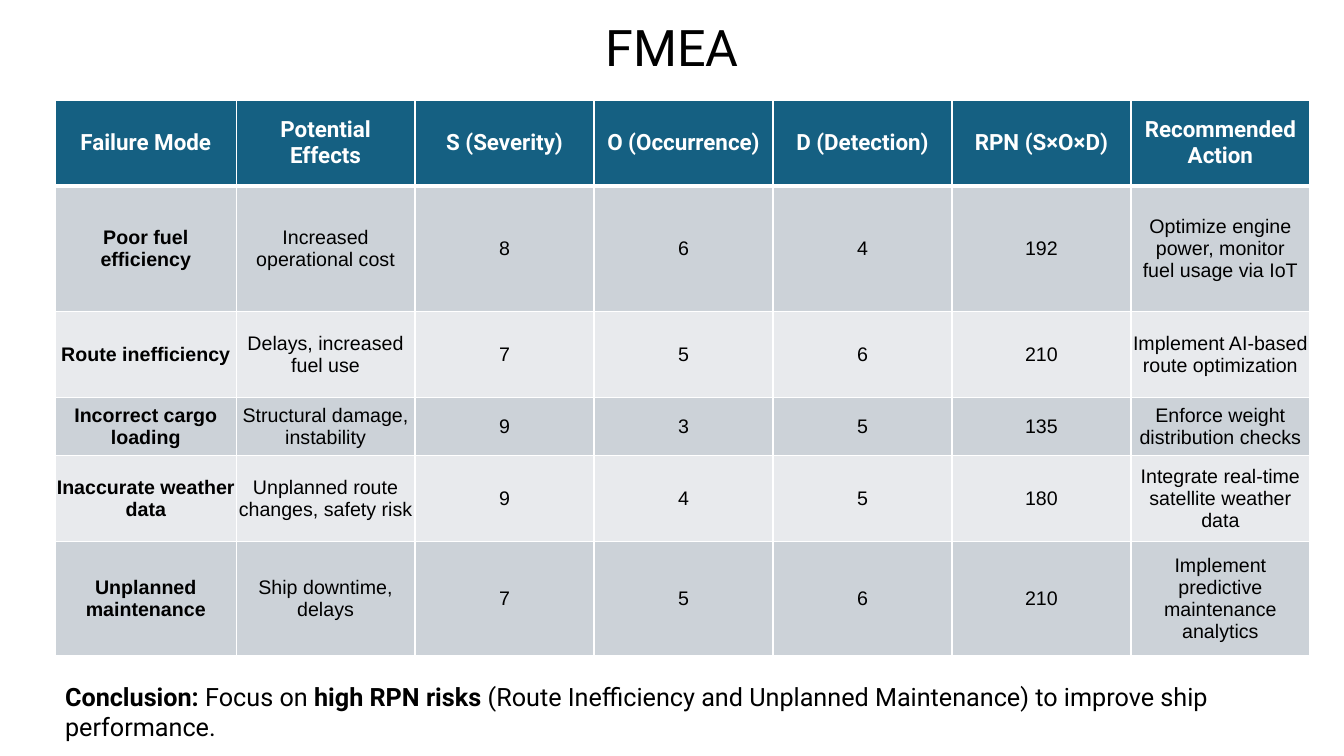
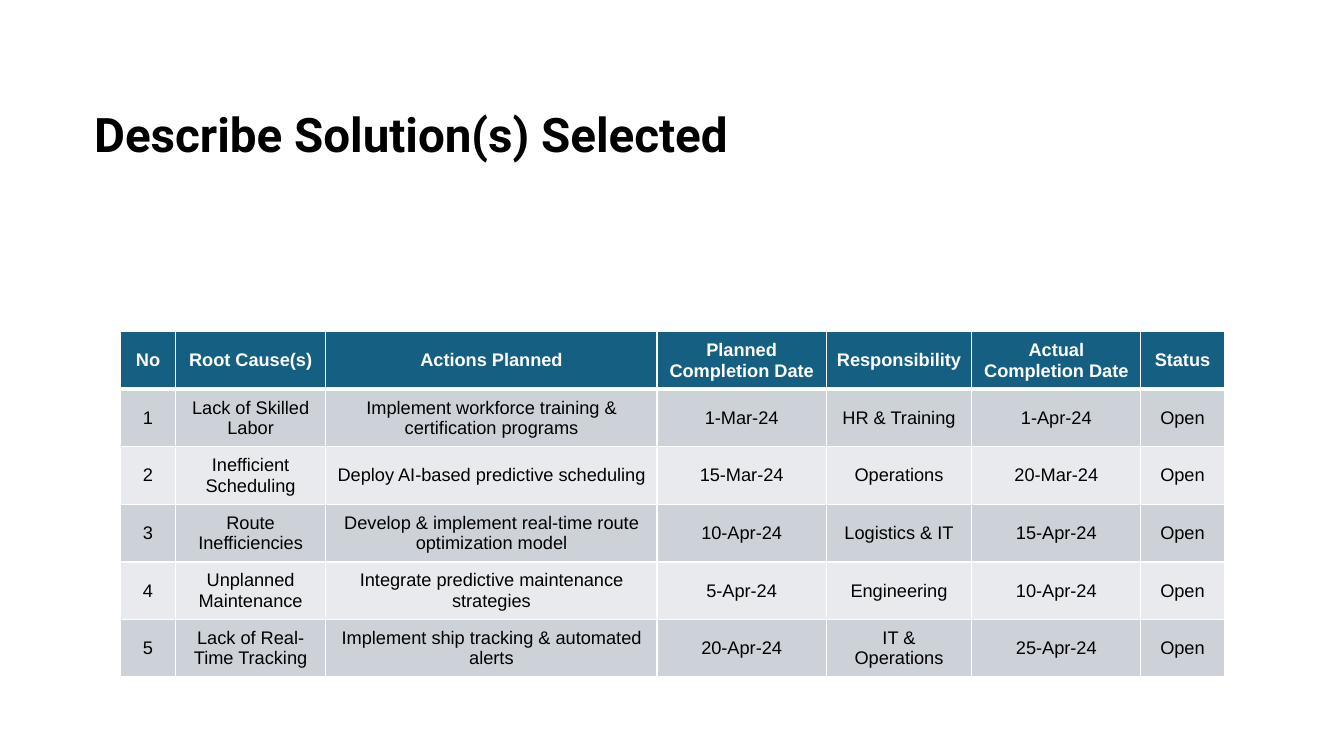
"""Builds the risk table and action plan slides of a ship performance project."""
from lxml import etree
from pptx import Presentation
from pptx.dml.color import RGBColor
from pptx.enum.shapes import MSO_SHAPE
from pptx.enum.text import MSO_ANCHOR, MSO_AUTO_SIZE, PP_ALIGN
from pptx.oxml.ns import qn
from pptx.util import Cm, Pt

RECTANGLE = MSO_SHAPE.RECTANGLE
MIDDLE = MSO_ANCHOR.MIDDLE
NO_FIT, GROW = MSO_AUTO_SIZE.NONE, MSO_AUTO_SIZE.SHAPE_TO_FIT_TEXT
LEFT, CENTER = PP_ALIGN.LEFT, PP_ALIGN.CENTER

BLACK = RGBColor(0x00, 0x00, 0x00)
WHITE = RGBColor(0xFF, 0xFF, 0xFF)
HEADER_BLUE = RGBColor(0x15, 0x60, 0x82)
BAND_DARK = RGBColor(0xCC, 0xD2, 0xD8)
BAND_LIGHT = RGBColor(0xE8, 0xEA, 0xED)

HEADING_FONT, BODY_FONT = "Roboto", "Arial"
PAGE_WIDTH, PAGE_HEIGHT = 33.87, 19.05
TITLE_ONLY = 5
THIN, THICK = 1, 3
ROOMY, MEDIUM, TIGHT = (0.25, 0.13), (0.24, 0.12), (0.03, 0.02)

FAILURES = [
    ("Failure Mode", "Potential Effects", "S (Severity)", "O (Occurrence)",
     "D (Detection)", "RPN (S×O×D)", "Recommended Action"),
    ("Poor fuel efficiency", "Increased operational cost", "8", "6", "4", "192",
     "Optimize engine power, monitor fuel usage via IoT"),
    ("Route inefficiency", "Delays, increased fuel use", "7", "5", "6", "210",
     "Implement AI-based route optimization"),
    ("Incorrect cargo loading", "Structural damage, instability", "9", "3", "5", "135",
     "Enforce weight distribution checks"),
    ("Inaccurate weather data", "Unplanned route changes, safety risk", "9", "4", "5", "180",
     "Integrate real-time satellite weather data"),
    ("Unplanned maintenance", "Ship downtime, delays", "7", "5", "6", "210",
     "Implement predictive maintenance analytics"),
]
ACTIONS = [
    ("No", "Root Cause(s)", "Actions Planned", "Planned Completion Date",
     "Responsibility", "Actual Completion Date", "Status"),
    ("1", "Lack of Skilled Labor", "Implement workforce training & certification programs",
     "1-Mar-24", "HR & Training", "1-Apr-24", "Open"),
    ("2", "Inefficient Scheduling", "Deploy AI-based predictive scheduling",
     "15-Mar-24", "Operations", "20-Mar-24", "Open"),
    ("3", "Route Inefficiencies", "Develop & implement real-time route optimization model",
     "10-Apr-24", "Logistics & IT", "15-Apr-24", "Open"),
    ("4", "Unplanned Maintenance", "Integrate predictive maintenance strategies",
     "5-Apr-24", "Engineering", "10-Apr-24", "Open"),
    ("5", "Lack of Real-Time Tracking", "Implement ship tracking & automated alerts",
     "20-Apr-24", "IT & Operations", "25-Apr-24", "Open"),
]
CONCLUSION = [
    ("Conclusion:", True),
    (" Focus on ", False),
    ("high RPN risks", True),
    (" (Route Inefficiency and Unplanned Maintenance) to improve ship performance.", False),
]


def write(para, text, size=14, font=BODY_FONT, color=BLACK, bold=False, align=LEFT):
    """Add one formatted span to a paragraph."""
    para.alignment = align
    span = para.add_run()
    span.text = text
    span.font.size = Pt(size)
    span.font.name = font
    span.font.bold = bold
    span.font.color.rgb = color


def add_border(cell, side, width):
    """Draw a white line on one side of a cell."""
    line = etree.SubElement(cell._tc.get_or_add_tcPr(), qn(f"a:ln{side}"), w=str(Pt(width)))
    fill = etree.SubElement(line, qn("a:solidFill"))
    etree.SubElement(fill, qn("a:srgbClr"), val=str(WHITE))


class SlideBuilder:
    """Holds the deck, its style and the current slide."""

    def __init__(self):
        """Start an empty widescreen deck."""
        self.deck = Presentation()
        self.deck.slide_width, self.deck.slide_height = Cm(PAGE_WIDTH), Cm(PAGE_HEIGHT)
        self.page = None

    def add_page(self, title, left, top, width, height, **style):
        """Add a slide with its title placed and formatted."""
        self.page = self.deck.slides.add_slide(self.deck.slide_layouts[TITLE_ONLY])
        box = self.page.shapes.title
        box.left, box.top, box.width, box.height = Cm(left), Cm(top), Cm(width), Cm(height)
        frame = box.text_frame
        frame.vertical_anchor, frame.auto_size, frame.word_wrap = MIDDLE, NO_FIT, True
        para = frame.paragraphs[0]
        para.line_spacing = 0.9
        write(para, title, font=HEADING_FONT, **style)

    def add_title_band(self, height):
        """Place a white band across the page behind the title."""
        band = self.page.shapes.add_shape(RECTANGLE, 0, 0, Cm(PAGE_WIDTH), Cm(height))
        band.shadow.inherit = False
        band.fill.solid()
        band.fill.fore_color.rgb = WHITE
        band.line.fill.background()
        self.page.shapes.title.element.addprevious(band.element)

    def add_text(self, spans, left, top, width, height, size):
        """Add a paragraph of plain and bold spans."""
        box = self.page.shapes.add_textbox(Cm(left), Cm(top), Cm(width), Cm(height))
        frame = box.text_frame
        frame.word_wrap, frame.auto_size = True, GROW
        for text, bold in spans:
            write(frame.paragraphs[0], text, size=size, font=HEADING_FONT, bold=bold)

    def add_table(self, rows, left, top, widths, heights, margins, header, size, bold_first=False):
        """Add a banded table with a header row."""
        frame = self.page.shapes.add_table(len(rows), len(widths), Cm(left), Cm(top),
                                           Cm(sum(widths)), Cm(sum(heights)))
        table = frame.table
        for column, width in zip(table.columns, widths):
            column.width = Cm(width)
        for index, (row, height, margin) in enumerate(zip(rows, heights, margins)):
            table.rows[index].height = Cm(height)
            band = BAND_DARK if index % 2 else BAND_LIGHT
            for place, text in enumerate(row):
                cell = table.cell(index, place)
                if index == 0:
                    style = dict(header, color=WHITE, bold=True)
                else:
                    style = dict(size=size, bold=bold_first and place == 0)
                self.format_cell(cell, HEADER_BLUE if index == 0 else band, margin,
                                 top=THICK if index == 1 else THIN,
                                 bottom=THICK if index == 0 else THIN)
                write(cell.text_frame.paragraphs[0], text, align=CENTER, **style)

    def format_cell(self, cell, color, margin, top, bottom):
        """Set the borders, fill, margins and anchor of a cell."""
        for side, width in (("L", THIN), ("R", THIN), ("T", top), ("B", bottom)):
            add_border(cell, side, width)
        cell.fill.solid()
        cell.fill.fore_color.rgb = color
        cell.margin_left = cell.margin_right = Cm(margin[0])
        cell.margin_top = cell.margin_bottom = Cm(margin[1])
        cell.vertical_anchor = MIDDLE


def main():
    """Build both slides and save the deck."""
    builder = SlideBuilder()

    builder.add_page("FMEA", 2.33, 0.2, 29.21, 2.11, size=36, align=CENTER)
    builder.add_table(FAILURES, 1.4, 2.54, widths=[4.55] + [4.51] * 6,
                      heights=[2.14, 3.17, 2.17, 1.45, 2.17, 2.87],
                      margins=[ROOMY] * 2 + [TIGHT] * 4,
                      header=dict(size=16, font=HEADING_FONT), size=14, bold_first=True)
    builder.add_text(CONCLUSION, 1.39, 17.04, 31.09, 1.8, size=18)

    builder.add_page("Describe Solution(s) Selected", 2.12, 1.2, 27.69, 4.5, size=34, bold=True)
    builder.add_title_band(7.06)
    builder.add_table(ACTIONS, 3.04, 8.36, widths=[1.38, 3.79, 8.35, 4.26, 3.67, 4.26, 2.1],
                      heights=[1.45] * 6, margins=[MEDIUM] * 6,
                      header=dict(size=13), size=13)

    builder.deck.save("out.pptx")


if __name__ == "__main__":
    main()
